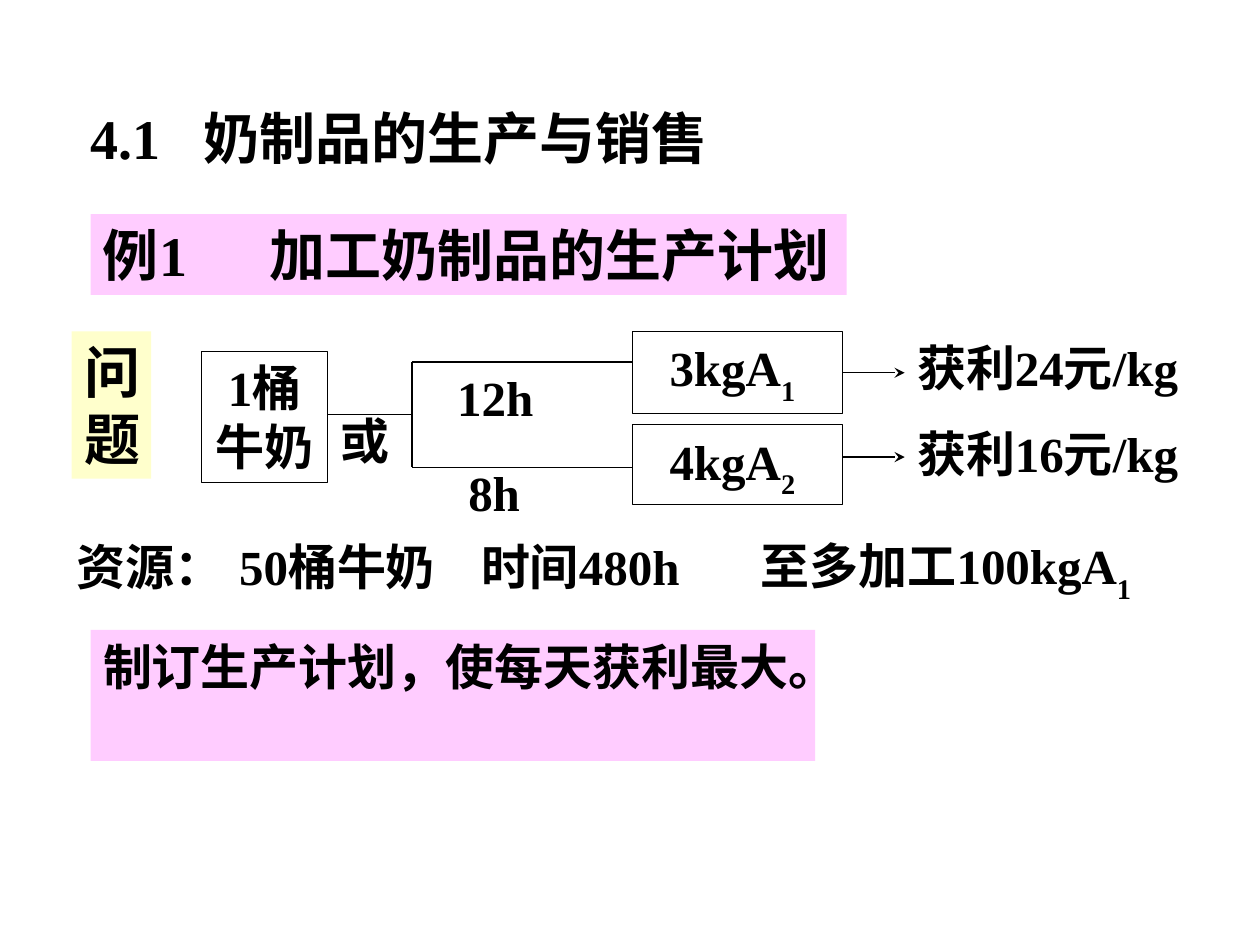
"""Build the slide on planning the production of dairy goods."""
from dataclasses import dataclass

from lxml.etree import SubElement
from pptx import Presentation
from pptx.dml.color import RGBColor as Color
from pptx.enum.shapes import MSO_AUTO_SHAPE_TYPE as Shape, MSO_CONNECTOR as Connector
from pptx.enum.text import MSO_ANCHOR as Anchor, PP_ALIGN as Align
from pptx.oxml.ns import qn
from pptx.util import Pt


@dataclass(frozen=True)
class Theme:
    """Colours, fonts and type sizes."""
    ink: Color = Color(0, 0, 0)
    pink: Color = Color(0xFF, 0xCC, 0xFF)
    yellow: Color = Color(0xFF, 0xFF, 0xCC)
    latin: str = "Times New Roman"
    chinese: str = "Noto Sans CJK SC"
    heading: float = 32
    body: float = 28
    line: float = 0.75


THEME = Theme()


def write_span(para, text, size, face, baseline=0):
    """Add one bold run to a paragraph."""
    span = para.add_run()
    span.text = text
    span.font.size = Pt(size)
    span.font.bold = True
    span.font.color.rgb = THEME.ink
    span.font.name = face
    properties = span._r.get_or_add_rPr()
    SubElement(properties, qn("a:ea"), typeface=THEME.chinese)
    if baseline:
        properties.set("baseline", str(baseline * 1000))


def write_text(box, text, *, size=THEME.body, face=THEME.latin, tail="", tail_face=None,
               baseline=0, align=Align.LEFT, inset=7.2, tab=None):
    """Write one paragraph, with an optional differing tail, into a box."""
    frame = box.text_frame
    frame.word_wrap = True
    frame.vertical_anchor = Anchor.TOP
    frame.margin_left, frame.margin_right = Pt(inset), Pt(7.2)
    frame.margin_top = frame.margin_bottom = Pt(3.6)
    para = frame.paragraphs[0]
    para.alignment = align
    if tab:
        stops = SubElement(para._p.get_or_add_pPr(), qn("a:tabLst"))
        SubElement(stops, qn("a:tab"), pos=str(Pt(tab)), algn="l")
    write_span(para, text, size, face)
    if tail:
        write_span(para, tail, size, tail_face or face, baseline)


def add_label(page, place, text, **style):
    """Add plain text at a left, top, width, height place."""
    write_text(page.shapes.add_textbox(*map(Pt, place)), text, **style)


def add_panel(page, place, text, fill=None, **style):
    """Add a rectangle that is either filled or outlined."""
    box = page.shapes.add_shape(Shape.RECTANGLE, *map(Pt, place))
    box.shadow.inherit = False
    if fill is None:
        box.fill.background()
        box.line.color.rgb = THEME.ink
        box.line.width = Pt(THEME.line)
    else:
        box.fill.solid()
        box.fill.fore_color.rgb = fill
        box.line.fill.background()
    write_text(box, text, **style)


def add_line(page, start, end, arrow=False):
    """Add a thin line, with an arrowhead at its end on request."""
    line = page.shapes.add_connector(Connector.STRAIGHT, *map(Pt, start + end))
    line.line.color.rgb = THEME.ink
    line.line.width = Pt(THEME.line)
    if arrow:
        SubElement(line.line._get_or_add_ln(), qn("a:tailEnd"), type="stealth")
    SubElement(line._element.spPr, qn("a:effectLst"))


def add_headings(page):
    """Add the section title and the example title."""
    add_label(page, (42.5, 55.4, 372.2, 46.1), "4.1\t", size=THEME.heading,
              tail="奶制品的生产与销售", tail_face=THEME.chinese, inset=9.4, tab=64.5)
    add_panel(page, (51.8, 122.4, 432, 46.1), "例1\t加工奶制品的生产计划",
              fill=THEME.pink, size=THEME.heading, tab=95)
    add_panel(page, (41, 189.4, 45.4, 84.2), "问题", fill=THEME.yellow, size=THEME.heading)


def add_process(page):
    """Add the milk tree with its two products and their profits."""
    fork, product, profit = 235.4, 361.4, 517
    upper, lower = 206.8, 267
    middle = (upper + lower) / 2
    add_panel(page, (115.2, 200.9, 72, 74.9), "1桶牛奶", align=Align.CENTER)
    add_label(page, (187.2, 231.1, 41.8, 41), "或")
    add_line(page, (187.2, middle), (fork, middle))
    add_line(page, (fork, upper), (fork, lower))
    branches = (
        (upper, "12h", 247, 206.6, "3kgA", "1", 189.4, 46.8, "获利24元/kg", 189.4, 213),
        (lower, "8h", 253.4, 260.6, "4kgA", "2", 242.8, 45.4, "获利16元/kg", 238.3, 261.2),
    )
    for (level, hours, hours_left, hours_top, goods, index, top, height,
         gain, gain_top, arrow_level) in branches:
        add_line(page, (fork, level), (product, level))
        add_label(page, (hours_left, hours_top, 96, 41), hours, inset=14.2)
        add_panel(page, (product, top, 120, height), goods, tail=index, baseline=-30, inset=21.2)
        add_line(page, (product + 120, arrow_level), (profit, arrow_level), arrow=True)
        add_label(page, (profit, gain_top, 203.8, 41), gain)


def add_resources(page):
    """Add the row of limits and the goal below it."""
    for left, width, text in ((36.7, 99, "资源："), (129.6, 138.2, "50桶牛奶"),
                              (267.8, 174.2, "时间480h")):
        add_label(page, (left, 303.1, width, 41), text)
    add_label(page, (427.7, 302.4, 257.8, 46.8), "至多加工100kgA", tail="1", baseline=-30)
    add_panel(page, (51.8, 360, 414, 74.9), "制订生产计划，使每天获利最大。",
              fill=THEME.pink, face=THEME.chinese)


def main():
    """Build and save the deck."""
    deck = Presentation()
    deck.slide_width, deck.slide_height = Pt(720), Pt(540)
    page = deck.slides.add_slide(deck.slide_layouts[6])
    add_headings(page)
    add_process(page)
    add_resources(page)
    deck.save("out.pptx")


if __name__ == "__main__":
    main()
